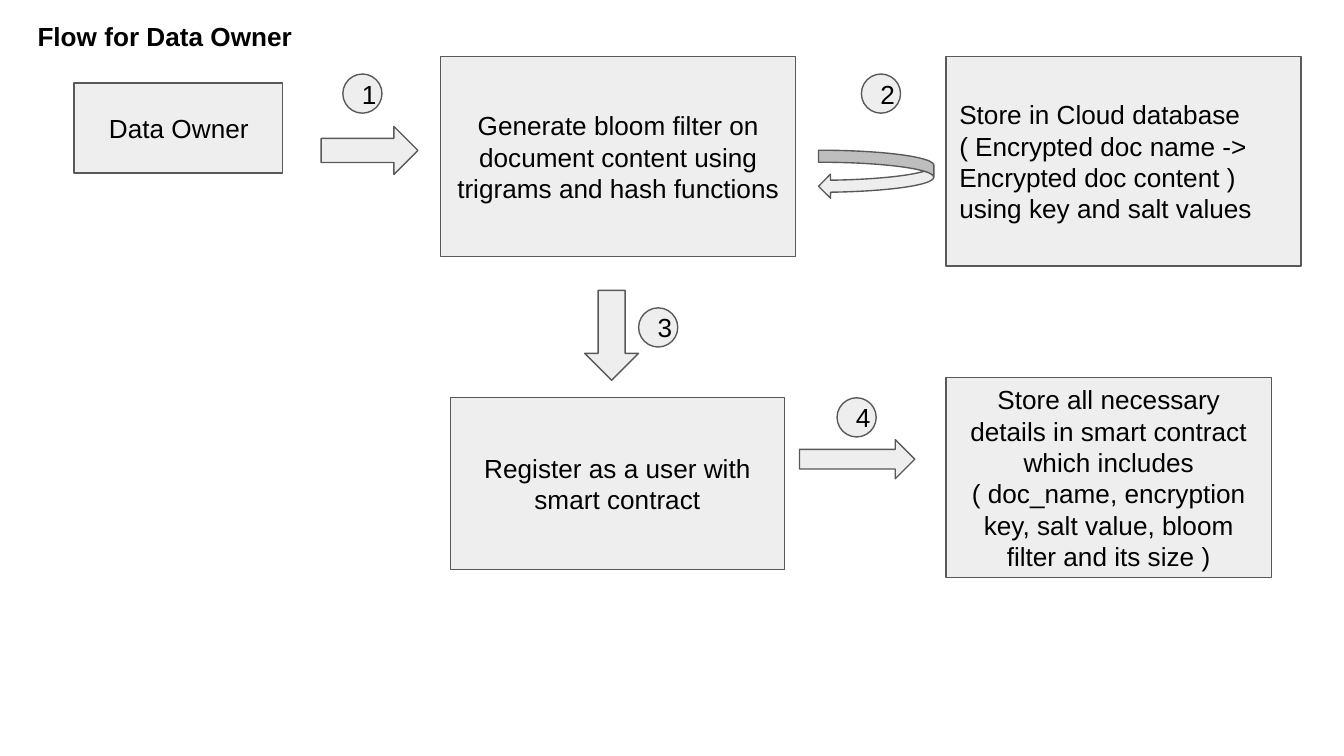
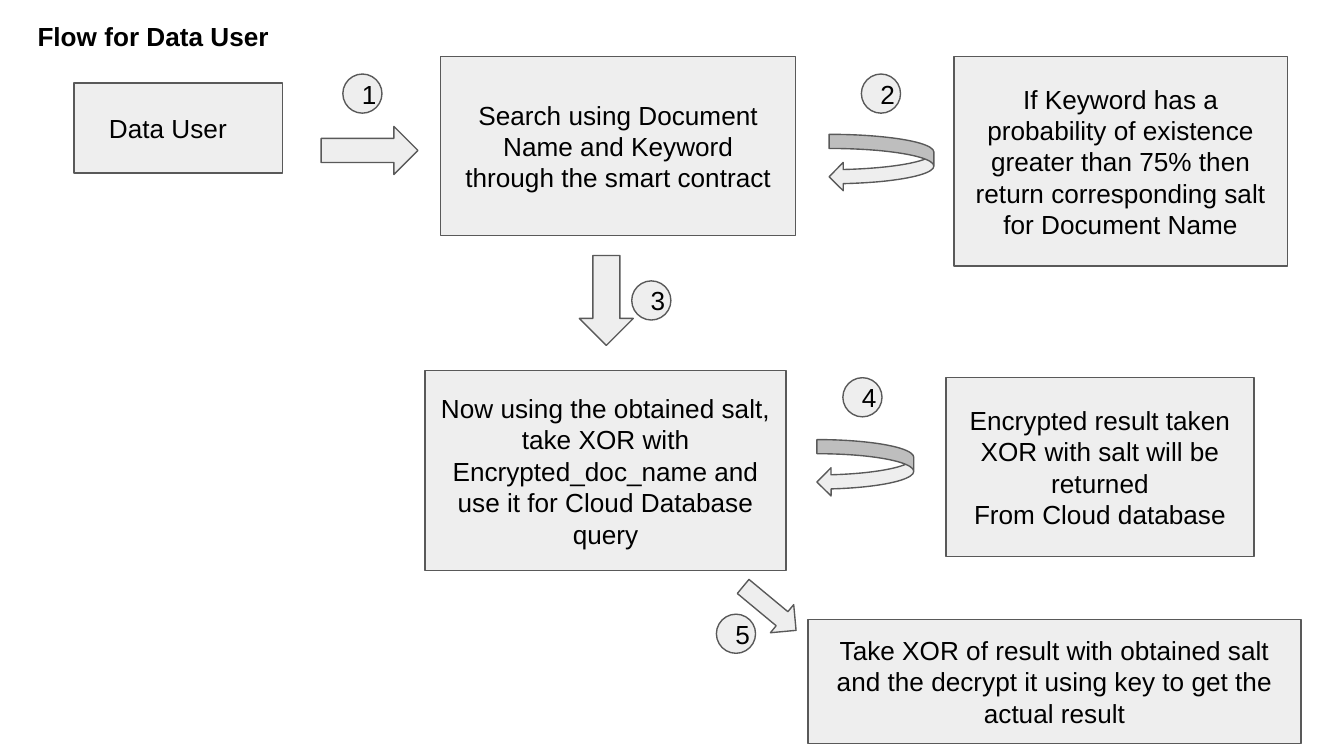
from pptx import Presentation
from pptx.dml.color import RGBColor
from pptx.enum import shapes, text
from pptx.util import Cm, Pt

FILL, EDGE, INK, PAPER = "EEEEEE", "595959", "000000", "FFFFFF"
FONT = {"name": "Arial", "size": Pt(14)}
MARGIN = Cm(0.25)
FRAME = {"word_wrap": True, "margin_left": MARGIN, "margin_right": MARGIN,
         "margin_top": MARGIN, "margin_bottom": MARGIN}
BADGE = 0.74
ACTOR_INDENT = Cm(0.66)
PAGE = (0, 0, 25.4, 14.29)
KIND = shapes.MSO_SHAPE
LEFT, CENTER = text.PP_ALIGN.LEFT, text.PP_ALIGN.CENTER

FIRST_LINK = {"kind": KIND.RIGHT_ARROW, "arrow": (-2.26, 1.32, 1.83, 0.91),
              "badge": (-1.85, 0.33)}

OWNER_STEPS = [
    {"box": (8.33, 1.07, 6.71, 3.78), **FIRST_LINK,
     "lines": ["Generate bloom filter on document content using trigrams and hash functions"]},
    {"box": (17.88, 1.07, 6.71, 3.96), "kind": KIND.CURVED_LEFT_ARROW,
     "arrow": (-2.41, 1.77, 2.18, 0.91), "badge": (-1.6, 0.33), "align": LEFT,
     "lines": ["Store in Cloud database",
               "( Encrypted doc name ->\vEncrypted doc content ) using key and salt values"]},
    {"box": (8.51, 7.52, 6.32, 3.25), "kind": KIND.DOWN_ARROW,
     "arrow": (2.54, -2.03, 1.02, 1.7), "badge": (3.56, -1.7),
     "lines": ["Register as a user with smart contract"]},
    {"box": (17.88, 7.14, 6.15, 3.78), "kind": KIND.RIGHT_ARROW,
     "arrow": (-2.77, 1.17, 2.18, 0.74), "badge": (-2.06, 0.38),
     "lines": ["Store all necessary details in smart contract which includes "
               "( doc_name, encryption key, salt value, bloom filter and its size )"]},
]

USER_STEPS = [
    {"box": (8.33, 1.07, 6.71, 3.38), **FIRST_LINK,
     "lines": ["Search using Document Name and Keyword", "through the smart contract"]},
    {"box": (18.03, 1.07, 6.3, 3.96), "kind": KIND.CURVED_LEFT_ARROW,
     "arrow": (-2.36, 1.47, 1.98, 1.07), "badge": (-1.75, 0.33),
     "lines": ["If Keyword has a probability of existence greater than 75% then "
               "return corresponding salt for Document Name"]},
    {"box": (8.03, 7.01, 6.83, 3.78), "kind": KIND.DOWN_ARROW,
     "arrow": (2.92, -2.18, 1.02, 1.7), "badge": (3.91, -1.7),
     "lines": ["Now using the obtained salt, take XOR with Encrypted_doc_name "
               "and use it for Cloud Database query"]},
    {"box": (17.88, 7.14, 5.82, 3.38), "kind": KIND.CURVED_LEFT_ARROW,
     "arrow": (-2.44, 1.17, 1.83, 1.07), "badge": (-1.95, 0),
     "lines": ["Encrypted result taken XOR with salt will be returned", "From Cloud database"]},
    {"box": (15.27, 11.71, 9.32, 2.34), "kind": KIND.DOWN_ARROW,
     "arrow": (-1.07, -0.86, 0.69, 1.3), "badge": (-1.73, -0.1), "turn": 309.7,
     "lines": ["Take XOR of result with obtained salt and the decrypt it using key "
               "to get the actual result"]},
]


def color(value):
    """Turn a hex string into a colour."""
    return RGBColor.from_string(value)


def apply(target, values):
    """Set every given attribute on the target."""
    for name, value in values.items():
        setattr(target, name, value)


def inside(box, part):
    """Shift a part by the corner of its box and give its lengths."""
    x, y, w, h = part
    return [Cm(v) for v in (box[0] + x, box[1] + y, w, h)]


def write(tf, lines, align=LEFT, bold=False, **frame):
    """Fill a text frame with one paragraph per line."""
    apply(tf, {**FRAME, **frame})
    for i, line in enumerate(lines):
        p = tf.paragraphs[0] if i == 0 else tf.add_paragraph()
        p.text, p.alignment = line, align
        for r in p.runs:
            apply(r.font, {**FONT, "bold": bold})
            r.font.color.rgb = color(INK)


def draw(s, kind, box, part, lines=(), align=LEFT, **frame):
    """Add an outlined grey shape with optional text."""
    sp = s.shapes.add_shape(kind, *inside(box, part))
    sp.shadow.inherit = False
    sp.fill.solid()
    sp.fill.fore_color.rgb = color(FILL)
    sp.line.color.rgb = color(EDGE)
    sp.line.width = Pt(0.75)
    if lines:
        write(sp.text_frame, lines, align,
              vertical_anchor=text.MSO_ANCHOR.MIDDLE, **frame)
    return sp


def header(s, box, actor):
    """Place the flow title and the box of the actor who starts it."""
    tb = s.shapes.add_textbox(*inside(box, (0.46, 0.13, 5.46, 1.12)))
    write(tb.text_frame, [f"Flow for {actor}"], bold=True,
          auto_size=text.MSO_AUTO_SIZE.SHAPE_TO_FIT_TEXT)
    draw(s, KIND.RECTANGLE, box, (1.4, 1.57, 3.94, 1.7), [actor],
         margin_left=ACTOR_INDENT)


def step(s, number, box, lines, kind, arrow, badge, align=CENTER, turn=0):
    """Place a step box with its arrow and numbered badge."""
    draw(s, KIND.RECTANGLE, box, (0, 0, *box[2:]), lines, align)
    draw(s, kind, box, arrow).rotation = turn
    draw(s, KIND.OVAL, box, (*badge, BADGE, BADGE), [str(number)])


def flow_slide(prs, actor, steps):
    """Add the slide that shows the flow of one actor."""
    s = prs.slides.add_slide(prs.slide_layouts[6])
    s.background.fill.solid()
    s.background.fill.fore_color.rgb = color(PAPER)
    header(s, PAGE, actor)
    for number, parts in enumerate(steps, 1):
        step(s, number, **parts)


def main():
    """Build and save the two flows."""
    prs = Presentation()
    prs.slide_width, prs.slide_height = Cm(PAGE[2]), Cm(PAGE[3])
    flow_slide(prs, "Data Owner", OWNER_STEPS)
    flow_slide(prs, "Data User", USER_STEPS)
    prs.save("out.pptx")


if __name__ == "__main__":
    main()
